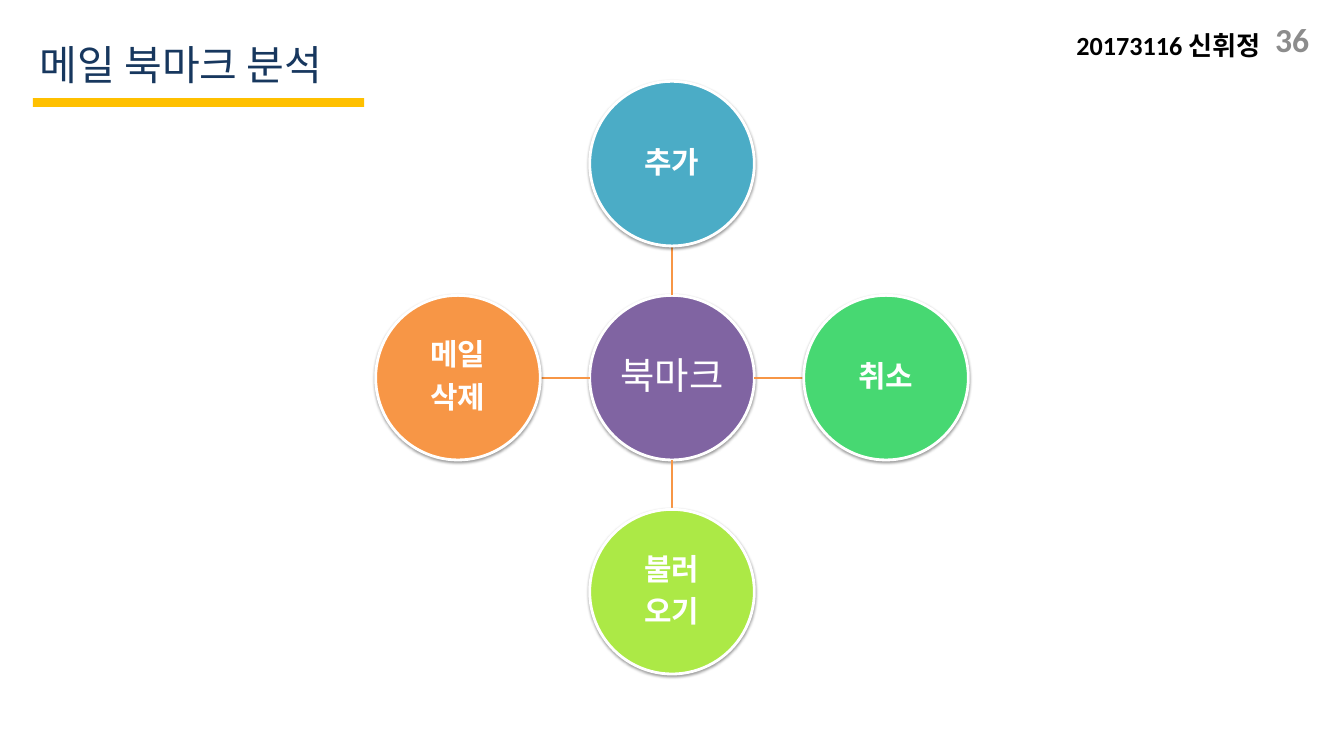
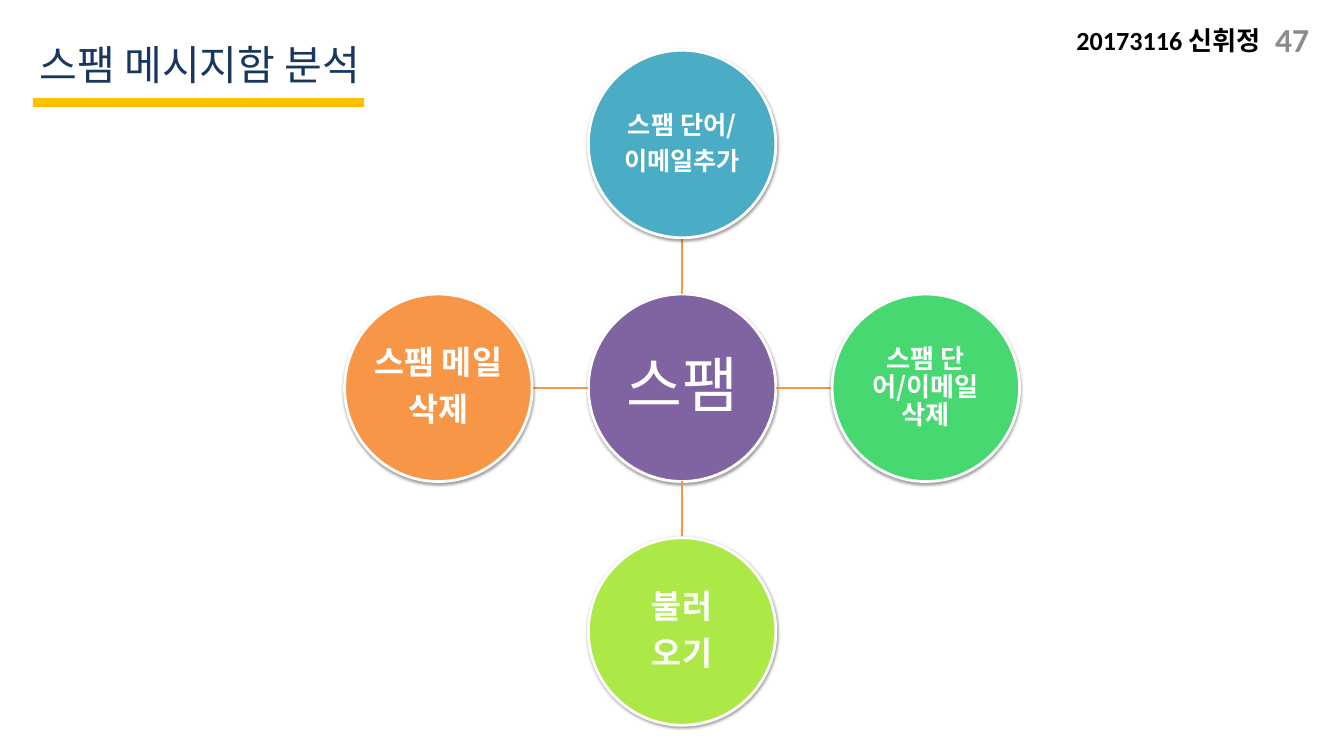
"""Build two hub-and-spoke slides about mail bookmarks and the spam box."""
import lxml.etree
import pptx
import pptx.dml.color
import pptx.enum.shapes
import pptx.enum.text
import pptx.oxml
import pptx.oxml.ns
import pptx.util

COLUMNS, ROWS = 20, 11.25
WHITE, NAVY, GOLD, GREY, BLACK = "FFFFFF", "17375E", "FFC000", "8C8C8C", "000000"
PURPLE, TEAL, GREEN, LIME, ORANGE = "8064A2", "4BACC6", "47D872", "ACE946", "F79646"
LATIN, KOREAN = "Calibri", "Noto Sans CJK KR"
SPOKES = [(0, -1, TEAL), (1, 0, GREEN), (0, 1, LIME), (-1, 0, ORANGE)]
STEP = 1.3
SHADOW = (
    f'<a:effectLst {pptx.oxml.ns.nsdecls("a")}>'
    '<a:outerShdw blurRad="39400" dist="20300" dir="5400000" rotWithShape="0">'
    '<a:srgbClr val="000000"><a:alpha val="38000"/></a:srgbClr>'
    '</a:outerShdw></a:effectLst>'
)
ALIGN = pptx.enum.text.PP_ALIGN
MIDDLE = pptx.enum.text.MSO_ANCHOR.MIDDLE
SHAPE = pptx.enum.shapes.MSO_SHAPE


def rgb(code):
    return pptx.dml.color.RGBColor.from_string(code)


def apply(target, values):
    for name, value in values.items():
        setattr(target, name, value)


class Painter:
    def __init__(self):
        self.deck = pptx.Presentation()
        self.deck.slide_width = pptx.util.Inches(20)
        self.deck.slide_height = pptx.util.Inches(11.25)
        self.page = None

    def grid(self, *lengths):
        units = (self.deck.slide_width / COLUMNS, self.deck.slide_height / ROWS)
        return [round(length * units[i % 2]) for i, length in enumerate(lengths)]

    def new_page(self, title, number, author_row):
        self.page = self.deck.slides.add_slide(self.deck.slide_layouts[6])
        self.label((17.25, 0.38, 2.33, 0.4), number, 36, LATIN, GREY, True,
                   {"vertical_anchor": MIDDLE}, {"alignment": ALIGN.RIGHT})
        self.label((0.49, 0.54, 7.09, 0.84), title, 44, KOREAN, NAVY)
        self.shape(SHAPE.RECTANGLE, (0.49, 1.46, 4.93, 0.13), GOLD)
        self.label((15.92, author_row, 3.08, 0.57), "20173116 신휘정", 28, LATIN, BLACK, True)

    def fill_text(self, box, text, size, font, color, bold, frame_format, para_format):
        frame = box.text_frame
        apply(frame, {"word_wrap": True, **frame_format})
        for index, line in enumerate(text.split("\n")):
            para = frame.paragraphs[0] if index == 0 else frame.add_paragraph()
            apply(para, para_format)
            span = para.add_run()
            span.text = line
            apply(span.font, {"size": pptx.util.Pt(size), "name": font, "bold": bold})
            span.font.color.rgb = rgb(color)

    def label(self, place, text, size, font, color, bold=False, frame_format={}, para_format={}):
        box = self.page.shapes.add_textbox(*self.grid(*place))
        self.fill_text(box, text, size, font, color, bold, frame_format, para_format)

    def shape(self, kind, place, fill):
        shape = self.page.shapes.add_shape(kind, *self.grid(*place))
        shape.shadow.inherit = False
        shape.fill.solid()
        shape.fill.fore_color.rgb = rgb(fill)
        shape.line.fill.background()
        return shape

    def circle(self, x, y, diameter, fill, text, size, font, bold=True, inset=0.02):
        place = (x - diameter / 2, y - diameter / 2, diameter, diameter)
        circle = self.shape(SHAPE.OVAL, place, fill)
        circle.line.color.rgb = rgb(WHITE)
        circle.line.width = pptx.util.Pt(3)
        properties = circle._element.spPr
        properties.remove(properties.find(pptx.oxml.ns.qn("a:effectLst")))
        properties.append(pptx.oxml.parse_xml(SHADOW))
        sides = ("left", "top", "right", "bottom")
        margins = {f"margin_{side}": pptx.util.Inches(inset) for side in sides}
        self.fill_text(circle, text, size, font, WHITE, bold,
                       {"vertical_anchor": MIDDLE, **margins},
                       {"alignment": ALIGN.CENTER, "line_spacing": 0.9,
                        "space_after": pptx.util.Pt(0.35 * size)})

    def line(self, *ends):
        line = self.page.shapes.add_connector(
            pptx.enum.shapes.MSO_CONNECTOR.STRAIGHT, *self.grid(*ends))
        line.line.color.rgb = rgb(ORANGE)
        line.line.width = pptx.util.Pt(2)
        lxml.etree.SubElement(line._element.spPr, pptx.oxml.ns.qn("a:effectLst"))

    def wheel(self, x, y, diameter, font, hub, topics):
        text, size, hub_font, inset = hub
        self.circle(x, y, diameter, PURPLE, text, size, hub_font, False, inset)
        near, far = diameter / 2, diameter * (STEP - 0.5)
        for (across, down, fill), (text, size) in zip(SPOKES, topics):
            self.line(x + across * near, y + down * near, x + across * far, y + down * far)
            self.circle(x + across * diameter * STEP, y + down * diameter * STEP,
                        diameter, fill, text, size, font)


def main():
    painter = Painter()
    painter.new_page("메일 북마크 분석", "36", 0.39)
    painter.wheel(10, 5.62, 2.45, LATIN, ("북마크", 40, LATIN, 0.03),
                  [("추가", 32), ("취소", 32), ("불러\n오기", 32), ("메일\n삭제", 32)])
    painter.new_page("스팸 메시지함 분석", "47", 0.32)
    painter.wheel(10.15, 5.77, 2.79, KOREAN, ("스팸", 65, KOREAN, 0.05),
                  [("스팸 단어/\n이메일추가", 27), ("스팸 단어/이메일 삭제", 28),
                   ("불러\n오기", 35), ("스팸 메일\n삭제", 35)])
    painter.deck.save("out.pptx")


if __name__ == "__main__":
    main()
